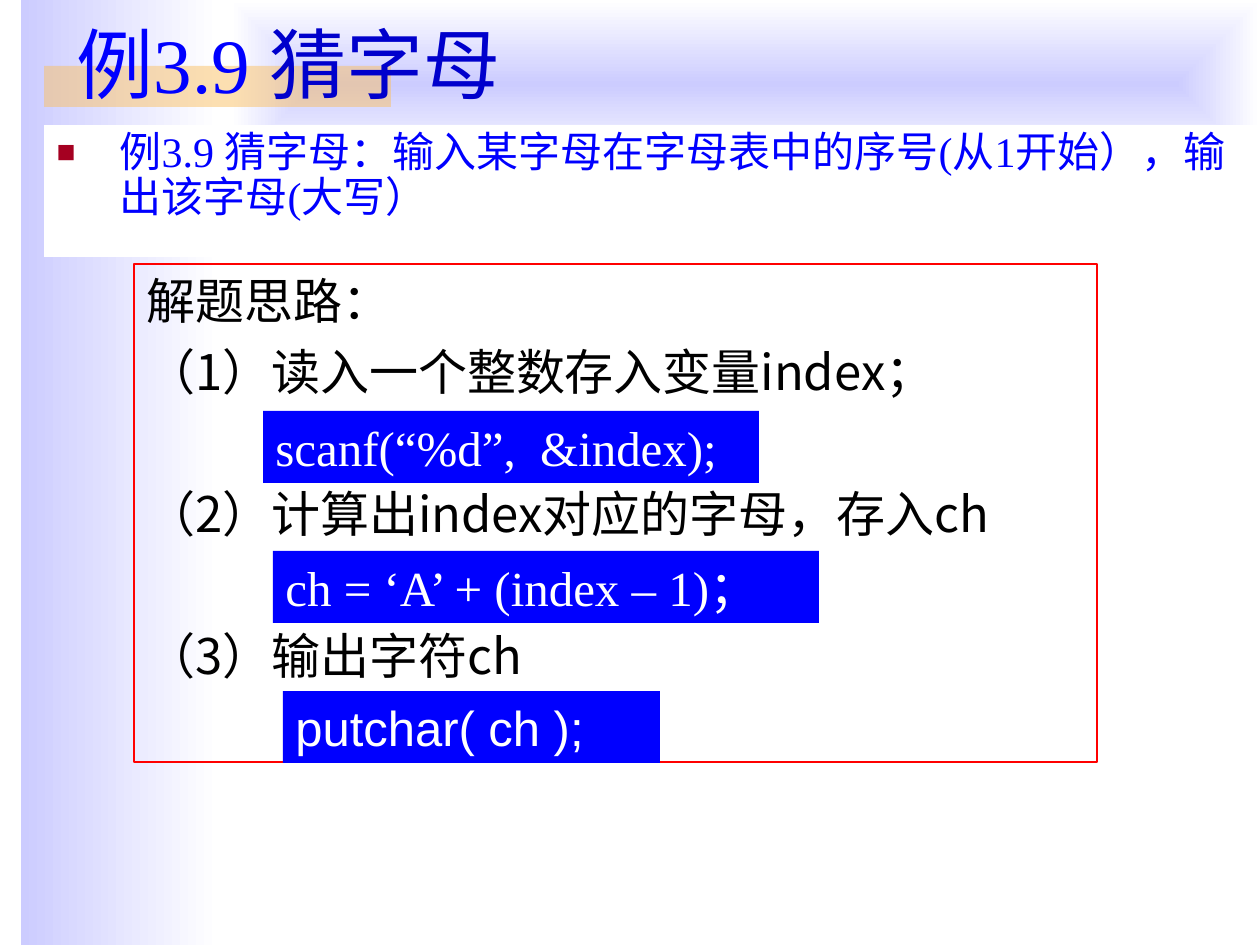
import pptx
import pptx.util
import pptx.dml.color
import pptx.enum.shapes
import pptx.enum.text
import pptx.oxml
import pptx.oxml.ns

SCALE = 914400 / 126
SERIF, SANS, CJK = "Times New Roman", "Arial", "Noto Sans CJK SC"
BLUE, NAVY, WHITE, BLACK, LILAC = "0000FF", "0000CC", "FFFFFF", "000000", "CCCCFF"

HEADING = [("例3.9 ", BLUE), ("猜字母", NAVY)]
TASK = "例3.9 猜字母：输入某字母在字母表中的序号(从1开始），输出该字母(大写）"
SOLUTION = [
    ("解题思路：", 0),
    ("（1）读入一个整数存入变量index；", 7),
    ("（2）计算出index对应的字母，存入ch", 47.6),
    ("（3）输出字符ch", 47.6),
]
CODE = [
    ("scanf(“%d”,  &index);", SERIF, 496),
    ("ch = ‘A’ + (index – 1)；", SERIF, 546),
    ("putchar( ch );", SANS, 377),
]
GRADIENT_BANDS = [
    ((21, 0, 199, 945), '<a:lin ang="0" scaled="1"/>'),
    ((231, 0, 1029, 168),
     '<a:path path="rect"><a:fillToRect l="50000" t="50000" r="50000" b="50000"/></a:path>'),
]
ACCENT = (44, 66, 347, 41)
FRAME = {
    "word_wrap": True,
    "auto_size": pptx.enum.text.MSO_AUTO_SIZE.NONE,
    "vertical_anchor": pptx.enum.text.MSO_ANCHOR.TOP,
}
NS = pptx.oxml.ns.nsdecls("a")


def px(length):
    return round(length * SCALE)


def color(value):
    return pptx.dml.color.RGBColor.from_string(value)


def assign(target, values):
    for name, value in values.items():
        setattr(target, name, value)


def place(shape, box):
    assign(shape, dict(zip(("left", "top", "width", "height"), map(px, box))))


def paint(shape, fill):
    shape.fill.solid()
    shape.fill.fore_color.rgb = color(fill)


def add_box(slide, box):
    shape = slide.shapes.add_shape(pptx.enum.shapes.MSO_SHAPE.RECTANGLE, *map(px, box))
    shape.shadow.inherit = False
    shape.line.fill.background()
    return shape


def add_band(slide, box, direction):
    band = add_box(slide, box)
    band.element.spPr.prstGeom.addnext(pptx.oxml.parse_xml(
        f'<a:gradFill {NS} rotWithShape="1"><a:gsLst>'
        f'<a:gs pos="0"><a:srgbClr val="{LILAC}"/></a:gs>'
        f'<a:gs pos="100000"><a:srgbClr val="{WHITE}"/></a:gs>'
        f'</a:gsLst>{direction}</a:gradFill>'))


def write(paragraph, text, font, size, ink, before=0, spacing=1.0):
    assign(paragraph, {
        "alignment": pptx.enum.text.PP_ALIGN.LEFT,
        "space_before": pptx.util.Pt(before),
        "line_spacing": spacing,
    })
    run = paragraph.add_run()
    run.text = text
    assign(run.font, {"name": font, "size": pptx.util.Pt(size)})
    run.font.color.rgb = color(ink)
    run.font._element.get_or_add_latin().addnext(
        pptx.oxml.parse_xml(f'<a:ea {NS} typeface="{CJK}"/>'))


def add_bullet(paragraph):
    properties = paragraph._p.get_or_add_pPr()
    properties.set("marL", str(px(63)))
    properties.set("indent", str(px(-63)))
    for bullet in ('<a:buClr {}><a:srgbClr val="A50021"/></a:buClr>',
                   '<a:buSzPct {} val="75000"/>',
                   '<a:buChar {} char="■"/>'):
        properties.append(pptx.oxml.parse_xml(bullet.format(NS)))


def main():
    deck = pptx.Presentation()
    deck.slide_width, deck.slide_height = px(1260), px(945)
    slide = deck.slides.add_slide(deck.slide_layouts[1])
    title, task = slide.placeholders

    for box, direction in GRADIENT_BANDS:
        add_band(slide, box, direction)
    accent = add_box(slide, ACCENT)
    paint(accent, "FAC164")
    for tint in accent.element.spPr.iter(pptx.oxml.ns.qn("a:srgbClr")):
        tint.append(pptx.oxml.parse_xml(f'<a:alpha {NS} val="50000"/>'))

    place(task, (44, 125, 1216, 132))
    paint(task, WHITE)
    assign(task.text_frame, FRAME)
    statement = task.text_frame.paragraphs[0]
    add_bullet(statement)
    write(statement, TASK, SERIF, 24, BLUE, spacing=0.9)

    place(title, (64, 10, 1101, 106))
    assign(title.text_frame, FRAME)
    for text, ink in HEADING:
        write(title.text_frame.paragraphs[0], text, SERIF, 44, ink)
    for placeholder in (task, title):
        placeholder.element.getparent().append(placeholder.element)

    solution = add_box(slide, (134, 264, 963, 498))
    solution.fill.background()
    solution.line.color.rgb = color("FF0000")
    solution.line.width = pptx.util.Pt(0.75)
    assign(solution.text_frame, FRAME)
    for order, (text, before) in enumerate(SOLUTION):
        frame = solution.text_frame
        step = frame.add_paragraph() if order else frame.paragraphs[0]
        write(step, text, CJK, 28, BLACK, before)

    for order, (text, font, width) in enumerate(CODE):
        statement = add_box(slide, (263 + 10 * order, 411 + 140 * order, width, 72))
        paint(statement, BLUE)
        assign(statement.text_frame, FRAME)
        write(statement.text_frame.paragraphs[0], text, font, 28, WHITE)

    deck.save("out.pptx")


if __name__ == "__main__":
    main()
